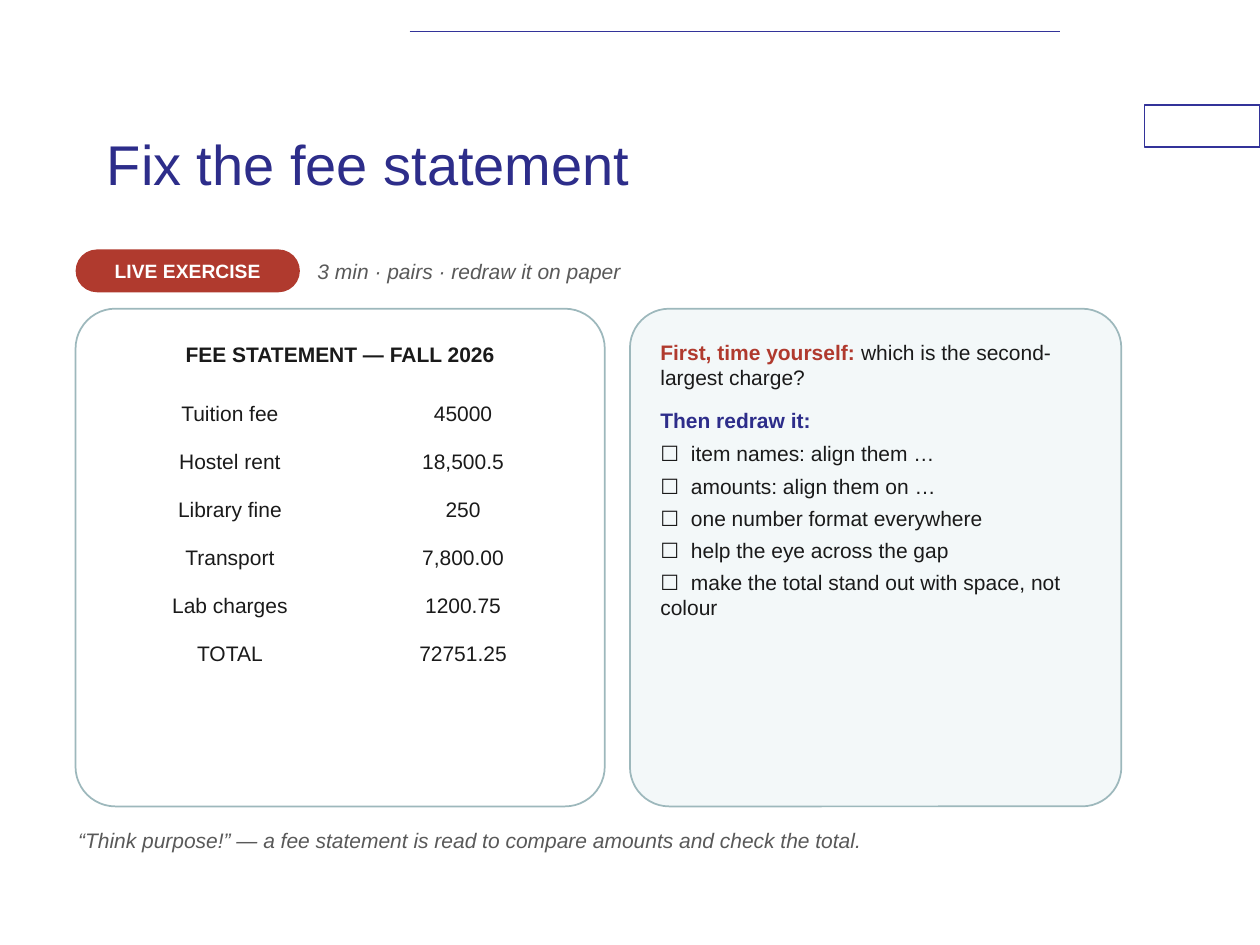
from dataclasses import dataclass
from lxml import etree
from pptx import Presentation
from pptx.dml.color import RGBColor
from pptx.enum.shapes import MSO_CONNECTOR, MSO_SHAPE
from pptx.enum.text import MSO_ANCHOR, PP_ALIGN
from pptx.oxml.ns import qn
from pptx.util import Pt

LINE = MSO_CONNECTOR.STRAIGHT
RECT, ROUND = MSO_SHAPE.RECTANGLE, MSO_SHAPE.ROUNDED_RECTANGLE
TOP, MIDDLE = MSO_ANCHOR.TOP, MSO_ANCHOR.MIDDLE
LEFT, CENTER = PP_ALIGN.LEFT, PP_ALIGN.CENTER


@dataclass(frozen=True)
class Theme:
    """Colours, font and type sizes of the slide."""
    white: str = "FFFFFF"
    ink: str = "1A1A1A"
    grey: str = "595959"
    navy: str = "2D2D8A"
    rule: str = "333399"
    red: str = "B03A2E"
    edge: str = "9DB8BC"
    pale: str = "F3F8F9"
    font: str = "Arial"
    head: int = 32
    body: int = 12
    tag: int = 11


THEME = Theme()
FEES = [
    ("Tuition fee", "45000"),
    ("Hostel rent", "18,500.5"),
    ("Library fine", "250"),
    ("Transport", "7,800.00"),
    ("Lab charges", "1200.75"),
    ("TOTAL", "72751.25"),
]
TASKS = [
    "item names: align them …",
    "amounts: align them on …",
    "one number format everywhere",
    "help the eye across the gap",
    "make the total stand out with space, not colour",
]


def place(box):
    """Turn a box in points into lengths."""
    return [Pt(n) for n in box]


def style(run, color=THEME.ink, size=THEME.body, bold=False, italic=False):
    """Set the font of a run."""
    font = run.font
    font.name, font.size = THEME.font, Pt(size)
    font.bold, font.italic = bold, italic
    font.color.rgb = RGBColor.from_string(color)


def setup(frame, inset, anchor):
    """Set wrapping, equal margins and anchor of a text frame."""
    frame.word_wrap = True
    frame.vertical_anchor = anchor
    frame.margin_left = frame.margin_right = Pt(inset)
    frame.margin_top = frame.margin_bottom = Pt(inset)


def write(frame, text, align=LEFT, **look):
    """Put one styled line into a text frame."""
    frame.text = text
    line = frame.paragraphs[0]
    line.alignment = align
    style(line.runs[0], **look)


def label(slide, box, text, inset=1.44, anchor=MIDDLE, **look):
    """Add a text box with one line."""
    frame = slide.shapes.add_textbox(*place(box)).text_frame
    setup(frame, inset, anchor)
    write(frame, text, **look)


def panel(slide, box, kind, fill, edge=None, width=1, curve=None):
    """Add a filled shape, outlined if an edge colour is given."""
    shape = slide.shapes.add_shape(kind, *place(box))
    shape.shadow.inherit = False
    shape.fill.solid()
    shape.fill.fore_color.rgb = RGBColor.from_string(fill)
    if edge:
        shape.line.color.rgb = RGBColor.from_string(edge)
        shape.line.width = Pt(width)
    else:
        shape.line.fill.background()
    if curve:
        shape.adjustments[0] = curve
    return shape


def header(slide, box):
    """Draw the top rule, the side box and the title."""
    x, y, w, h = box
    panel(slide, (x + w - 66, y + 60, 66, 24), RECT, THEME.white, THEME.rule, 0.75)
    ends = place((x + 234, y + 18, x + 606, y + 18))
    rule = slide.shapes.add_connector(LINE, *ends)
    rule.line.color.rgb = RGBColor.from_string(THEME.rule)
    rule.line.width = Pt(1)
    etree.SubElement(rule._element.spPr, qn("a:effectLst"))
    label(slide, (x + 54, y + 48, 540, h - 48), "Fix the fee statement",
          inset=7.2, color=THEME.navy, size=THEME.head)


def banner(slide, box):
    """Draw the exercise badge and its caption."""
    x, y, w, h = box
    badge = panel(slide, (x, y, 128.16, h), ROUND, THEME.red, curve=0.5)
    setup(badge.text_frame, 2.16, MIDDLE)
    write(badge.text_frame, "LIVE EXERCISE", CENTER,
          color=THEME.white, size=THEME.tag, bold=True)
    label(slide, (x + 136.8, y, w - 136.8, h), "3 min · pairs · redraw it on paper",
          color=THEME.grey, italic=True)


def statement(slide, box):
    """Draw the fee statement card with its table."""
    x, y, w, h = box
    panel(slide, box, ROUND, THEME.white, THEME.edge, curve=0.08)
    label(slide, (x + 10.8, y + 10.8, w - 21.6, 30.24), "FEE STATEMENT — FALL 2026",
          align=CENTER, bold=True)
    cols, step = (154.8, 111.6), 27.36
    area = (x + 10.8, y + 46.8, sum(cols), step * len(FEES))
    table = slide.shapes.add_table(len(FEES), len(cols), *place(area)).table
    table.first_row = table.horz_banding = False
    for col, width in zip(table.columns, cols):
        col.width = Pt(width)
    for row, fee in zip(table.rows, FEES):
        row.height = Pt(step)
        for cell, text in zip(row.cells, fee):
            cell.fill.background()
            cell.vertical_anchor = MIDDLE
            cell.margin_left = cell.margin_right = Pt(1.44)
            cell.margin_top = cell.margin_bottom = Pt(1.44)
            write(cell.text_frame, text, CENTER)


def tasks(slide, box):
    """Draw the card with the question and the checklist."""
    card = panel(slide, box, ROUND, THEME.pale, THEME.edge, curve=0.08)
    frame = card.text_frame
    setup(frame, 10.8, TOP)
    write(frame, "First, time yourself: ", color=THEME.red, bold=True)
    rest = frame.paragraphs[0].add_run()
    rest.text = "which is the second-largest charge?"
    style(rest)
    lines = [("Then redraw it:", 10, THEME.navy, True)]
    lines += [(f"☐\t{task}", 4 if i else 5, THEME.ink, False)
              for i, task in enumerate(TASKS)]
    for text, gap, color, bold in lines:
        line = frame.add_paragraph()
        line.text = text
        line.alignment = LEFT
        tabs = etree.SubElement(line._p.get_or_add_pPr(), qn("a:tabLst"))
        etree.SubElement(tabs, qn("a:tab"), pos=str(Pt(17.5)), algn="l")
        line.space_before = Pt(gap)
        for run in line.runs:
            style(run, color, bold=bold)


def footer(slide, box):
    """Write the closing remark."""
    text = "“Think purpose!” — a fee statement is read to compare amounts and check the total."
    label(slide, box, text, anchor=TOP, color=THEME.grey, italic=True)


def main():
    """Build and save the slide."""
    deck = Presentation()
    deck.slide_width, deck.slide_height = Pt(720), Pt(540)
    slide = deck.slides.add_slide(deck.slide_layouts[6])
    left, top, high = 43.2, 176.4, 284.4
    header(slide, (0, 0, 720, 138))
    banner(slide, (left, 142.56, 597.6, 24.48))
    statement(slide, (left, top, 302.4, high))
    tasks(slide, (360, top, 280.8, high))
    footer(slide, (left, 471.6, 597.6, 36))
    deck.save("out.pptx")


if __name__ == "__main__":
    main()
